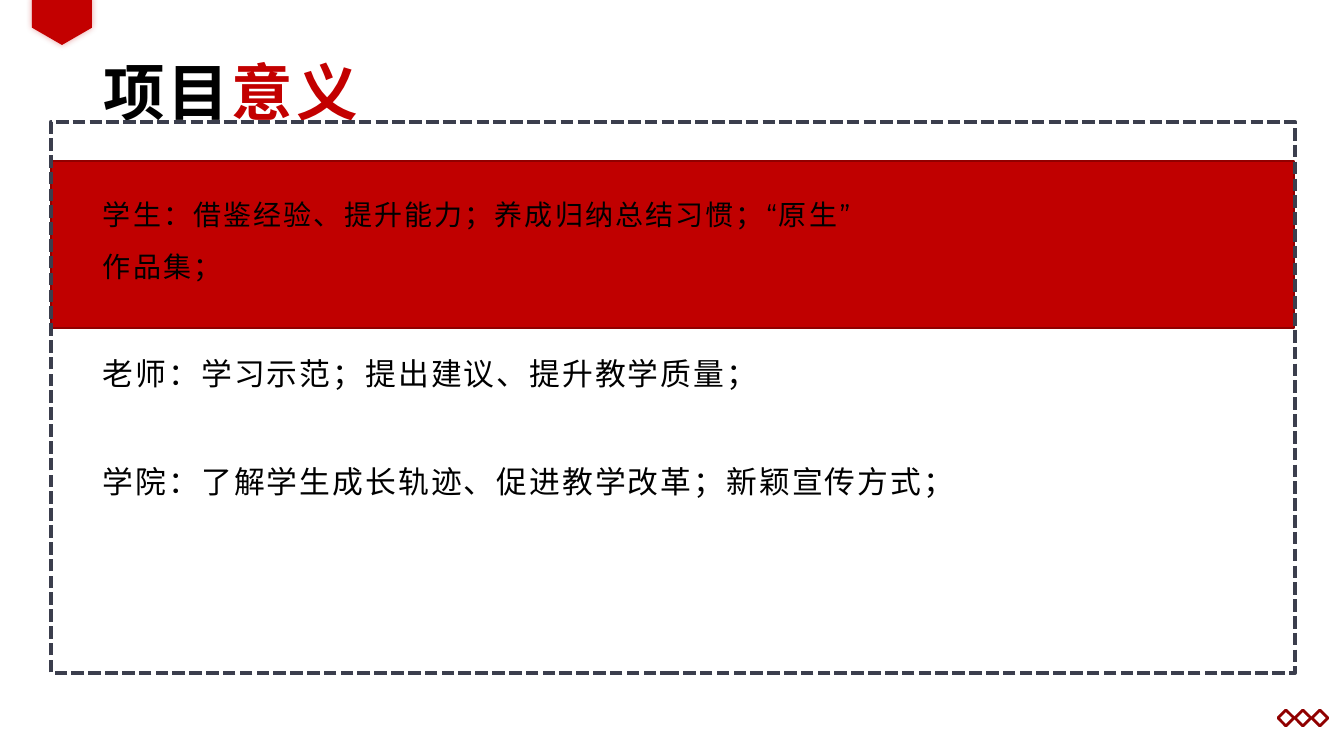
"""Build the slide on what the project means for students, teachers and the college."""
import dataclasses
import typing

import lxml.etree
import pptx
import pptx.dml.color
import pptx.enum.dml
import pptx.enum.shapes
import pptx.enum.text
import pptx.oxml.ns
import pptx.util

EMU_PER_PIXEL = 914400 / 100.8
SHAPES = pptx.enum.shapes.MSO_SHAPE


@dataclasses.dataclass(frozen=True)
class Theme:
    """Colours, font and type sizes of the slide."""
    black: str = "000000"
    red: str = "C30000"
    band: str = "C00000"
    dark_red: str = "900000"
    slate: str = "3B3E4D"
    font: str = "Montserrat"
    title: int = 44
    lead: int = 20
    body: int = 22


THEME = Theme()


@dataclasses.dataclass(frozen=True)
class Figure:
    """A preset shape with its pixel box, fill and line."""
    preset: SHAPES
    box: tuple[int, int, int, int]
    fill: str | None = None
    line: str | None = None
    width: float = 1
    dashed: bool = False


@dataclasses.dataclass(frozen=True)
class Statement:
    """A body paragraph with its type size and space before it."""
    text: str
    size: int
    before: int = 10


BAND = Figure(SHAPES.RECTANGLE, (51, 161, 1243, 167), THEME.band, THEME.dark_red)
DIAMONDS = [
    Figure(SHAPES.DIAMOND, (1278 + 17 * index, 710, 16, 16), line=THEME.dark_red, width=2)
    for index in range(3)
]
RIBBON = Figure(SHAPES.PENTAGON, (38, -9, 48, 60), THEME.red)
FRAME = Figure(SHAPES.RECTANGLE, (51, 122, 1244, 551), line=THEME.slate, width=3, dashed=True)
STATEMENTS = [
    Statement("学生：借鉴经验、提升能力；养成归纳总结习惯；“原生”", THEME.lead),
    Statement("作品集；", THEME.lead),
    Statement("老师：学习示范；提出建议、提升教学质量；", THEME.body, before=49),
    Statement("学院：了解学生成长轨迹、促进教学改革；新颖宣传方式；", THEME.body, before=49),
]


def px(pixels: float) -> int:
    """Turn pixels into EMU."""
    return round(pixels * EMU_PER_PIXEL)


def rgb(colour: str) -> pptx.dml.color.RGBColor:
    """Turn a hex string into a colour."""
    return pptx.dml.color.RGBColor.from_string(colour)


def draw(slide: typing.Any, figure: Figure) -> typing.Any:
    """Draw one figure without the default shadow."""
    shape = slide.shapes.add_shape(figure.preset, *map(px, figure.box))
    shape.shadow.inherit = False
    if figure.fill:
        shape.fill.solid()
        shape.fill.fore_color.rgb = rgb(figure.fill)
    else:
        shape.fill.background()
    if figure.line:
        shape.line.color.rgb = rgb(figure.line)
        shape.line.width = pptx.util.Pt(figure.width)
    else:
        shape.line.fill.background()
    if figure.dashed:
        shape.line.dash_style = pptx.enum.dml.MSO_LINE.SQUARE_DOT
    return shape


def add_glow(shape: typing.Any, colour: str) -> None:
    """Give a shape a soft centred shadow."""
    qn = pptx.oxml.ns.qn
    effects = shape.fill._xPr.find(qn("a:effectLst"))
    shadow = lxml.etree.SubElement(
        effects, qn("a:outerShdw"), blurRad=str(pptx.util.Pt(5)), dist="0",
        algn="ctr", rotWithShape="0")
    tint = lxml.etree.SubElement(shadow, qn("a:srgbClr"), val=colour)
    lxml.etree.SubElement(tint, qn("a:alpha"), val="40000")


def write(paragraph: typing.Any, text: str, *, size: int, colour: str = THEME.black,
          bold: bool = False, tracking: float = 1.5) -> None:
    """Add a formatted run to a paragraph."""
    run = paragraph.add_run()
    run.text = text
    run.font.size = pptx.util.Pt(size)
    run.font.bold = bold
    run.font.color.rgb = rgb(colour)
    run.font.name = THEME.font
    properties = run._r.get_or_add_rPr()
    properties.set("spc", str(round(tracking * 100)))
    lxml.etree.SubElement(properties, pptx.oxml.ns.qn("a:ea"), typeface=THEME.font)


def write_title(slide: typing.Any) -> None:
    """Place and fill the two-colour title."""
    title = slide.shapes.title
    title.left, title.top, title.width, title.height = map(px, (93, 23, 1159, 146))
    frame = title.text_frame
    frame.auto_size = pptx.enum.text.MSO_AUTO_SIZE.NONE
    frame.vertical_anchor = pptx.enum.text.MSO_ANCHOR.MIDDLE
    paragraph = frame.paragraphs[0]
    paragraph.alignment = pptx.enum.text.PP_ALIGN.LEFT
    paragraph.line_spacing = 0.9
    for words, colour in (("项目", THEME.black), ("意义", THEME.red)):
        write(paragraph, words, size=THEME.title, colour=colour, bold=True, tracking=2)


def write_statements(slide: typing.Any) -> None:
    """Write the statements as one text body."""
    frame = slide.shapes.add_textbox(*map(px, (93, 202, 1159, 480))).text_frame
    frame.word_wrap = True
    for index, statement in enumerate(STATEMENTS):
        paragraph = frame.add_paragraph() if index else frame.paragraphs[0]
        paragraph.line_spacing = 0.7
        paragraph.space_before = pptx.util.Pt(statement.before)
        paragraph.space_after = pptx.util.Pt(10)
        write(paragraph, statement.text, size=statement.size)


def main() -> None:
    """Build and save the slide."""
    deck = pptx.Presentation()
    deck.slide_width, deck.slide_height = px(1344), px(756)
    slide = deck.slides.add_slide(deck.slide_layouts[5])
    write_title(slide)
    for figure in (BAND, *DIAMONDS):
        draw(slide, figure)
    ribbon = draw(slide, RIBBON)
    ribbon.rotation = 90
    ribbon.adjustments[0] = 0.36
    add_glow(ribbon, THEME.red)
    write_statements(slide)
    draw(slide, FRAME)
    deck.save("out.pptx")


main()
